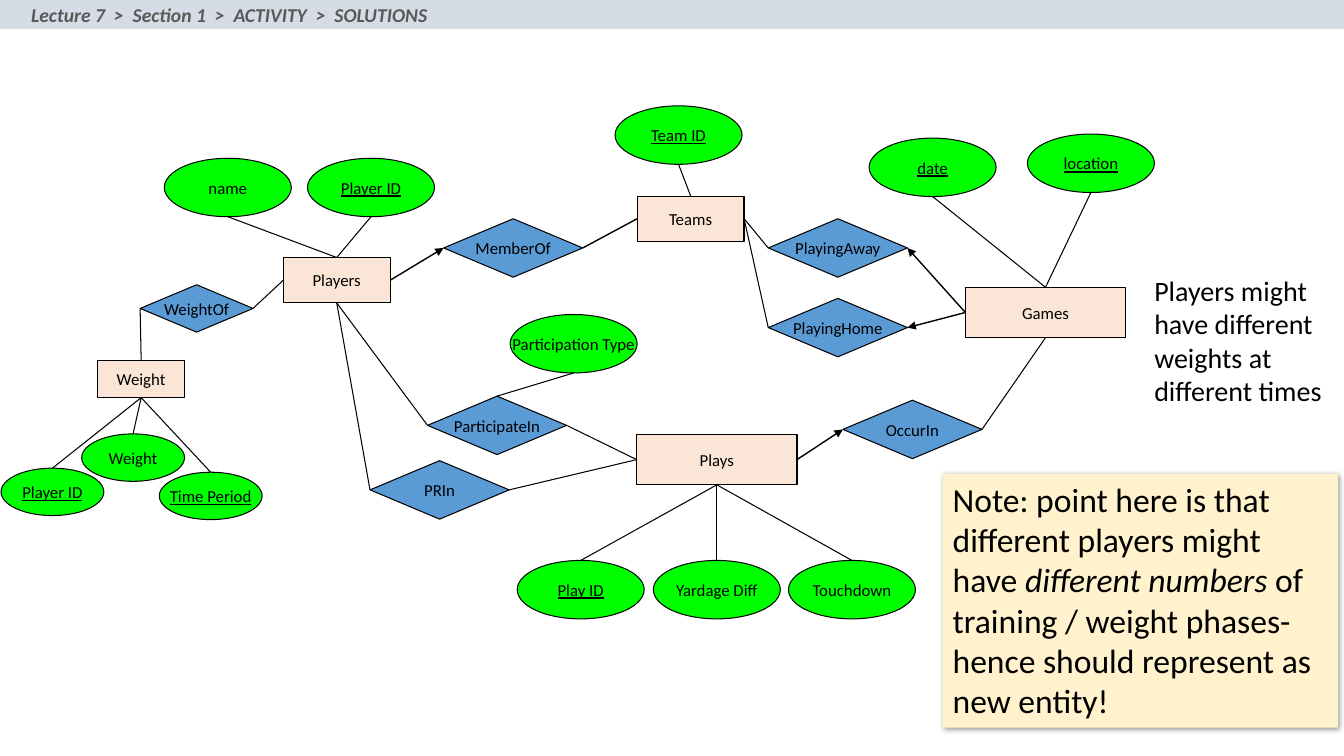
from lxml import etree
from pptx import Presentation, util as u
from pptx.dml import color
from pptx.enum import shapes, text
from pptx.oxml import ns

WIDE, HIGH = 13.33, 7.5
CELL = 0.1  # grid step of the diagram, in inches
FONT = "Calibri"

# Kind: preset shape and fill
KINDS = {
    "entity": (shapes.MSO_SHAPE.RECTANGLE, "FBE5D6"),
    "relation": (shapes.MSO_SHAPE.DIAMOND, "5B9BD5"),
    "attr": (shapes.MSO_SHAPE.OVAL, "00FF00"),
    "key": (shapes.MSO_SHAPE.OVAL, "00FF00"),
}

# Sizes in cells
OVAL, SMALL, RHOMB = (12.6, 5.8), (10.2, 4.7), (13.8, 5.8)
TEAM, GAME = (10.6, 4.5), (15.9, 5)

# Id: label, kind, size, centre column, centre row
NODES = {
    "players": ("Players", "entity", TEAM, 33.4, 17.8),
    "teams": ("Teams", "entity", TEAM, 68.5, 11.7),
    "games": ("Games", "entity", GAME, 103.7, 21),
    "plays": ("Plays", "entity", GAME, 71.1, 35.6),
    "weight": ("Weight", "entity", (8.6, 3.7), 14, 27.6),
    "member": ("MemberOf", "relation", RHOMB, 50.9, 14.6),
    "away": ("PlayingAway", "relation", RHOMB, 83.1, 14.6),
    "home": ("PlayingHome", "relation", RHOMB, 83.1, 22.5),
    "occur": ("OccurIn", "relation", RHOMB, 90.5, 32.6),
    "part": ("ParticipateIn", "relation", RHOMB, 49.3, 32.2),
    "prin": ("PRIn", "relation", RHOMB, 43.6, 38.6),
    "weigh": ("WeightOf", "relation", (11.2, 4.7), 19.5, 20.6),
    "name": ("name", "attr", OVAL, 22.6, 8.6),
    "player": ("Player ID", "key", OVAL, 36.8, 8.6),
    "team": ("Team ID", "key", OVAL, 67.3, 3.4),
    "date": ("date", "key", OVAL, 92.5, 6.6),
    "place": ("location", "key", OVAL, 108.2, 6.2),
    "type": ("Participation Type", "attr", OVAL, 56.9, 24.1),
    "play": ("Play ID", "key", OVAL, 57.6, 48.5),
    "yards": ("Yardage Diff", "attr", OVAL, 71.1, 48.5),
    "touch": ("Touchdown", "attr", OVAL, 84.5, 48.5),
    "mass": ("Weight", "attr", SMALL, 13.2, 35.4),
    "owner": ("Player ID", "key", SMALL, 5.2, 38.8),
    "time": ("Time Period", "key", SMALL, 20.9, 39.2),
}

# Side of a node as a share of its size from the centre
SIDES = {"top": (0, -0.5), "low": (0, 0.5), "left": (-0.5, 0), "right": (0.5, 0)}

# Start, side, end, side
LINKS = [
    ("name", "low", "players", "top"),
    ("player", "low", "players", "top"),
    ("team", "low", "teams", "top"),
    ("date", "low", "games", "top"),
    ("place", "low", "games", "top"),
    ("type", "low", "part", "top"),
    ("plays", "low", "play", "top"),
    ("plays", "low", "yards", "top"),
    ("plays", "low", "touch", "top"),
    ("weight", "low", "mass", "top"),
    ("weight", "low", "owner", "top"),
    ("weight", "low", "time", "top"),
    ("weigh", "left", "weight", "top"),
    ("weigh", "right", "players", "left"),
    ("players", "low", "part", "left"),
    ("players", "low", "prin", "left"),
    ("part", "right", "plays", "left"),
    ("prin", "right", "plays", "left"),
    ("teams", "right", "away", "left"),
    ("teams", "right", "home", "left"),
    ("occur", "right", "games", "low"),
    ("member", "right", "teams", "left"),
]
ARROWS = [
    ("players", "right", "member", "left"),
    ("plays", "right", "occur", "left"),
    ("games", "left", "away", "right"),
    ("games", "left", "home", "right"),
]


def paint(target, shade):
    target.rgb = color.RGBColor.from_string(shade)


def add_run(para, words, size, shade="000000", **style):
    run = para.add_run()
    run.text = words
    run.font.name, run.font.size = FONT, u.Pt(size)
    paint(run.font.color, shade)
    for key, value in style.items():
        setattr(run.font, key, value)


def add_box(slide, kind, box, fill):
    shape = slide.shapes.add_shape(kind, *map(u.Inches, box))
    shape.shadow.inherit = False
    shape.fill.solid()
    paint(shape.fill.fore_color, fill)
    shape.line.fill.background()
    return shape


def add_text(slide, box, wrap):
    frame = slide.shapes.add_textbox(*map(u.Inches, box)).text_frame
    frame.word_wrap = wrap
    return frame.paragraphs[0]


def header(slide, box):
    left, top, width, height = box
    add_box(slide, shapes.MSO_SHAPE.RECTANGLE, box, "D6DCE5")
    para = add_text(slide, (left + 0.21, top - 0.02, 4.16, height + 0.05), False)
    add_run(para, "Lecture 7  >  Section 1  >  ACTIVITY  >  SOLUTIONS", 14,
            "595959", bold=True, italic=True)


def add_node(slide, origin, label, kind, size, col, row):
    wide, high = (CELL * part for part in size)
    left = origin[0] + CELL * col - wide / 2
    top = origin[1] + CELL * row - high / 2
    form, fill = KINDS[kind]
    shape = add_box(slide, form, (left, top, wide, high), fill)
    paint(shape.line.color, "000000")
    shape.line.width = u.Pt(0.75)
    frame = shape.text_frame
    frame.word_wrap = False
    frame.vertical_anchor = text.MSO_ANCHOR.MIDDLE
    para = frame.paragraphs[0]
    para.alignment = text.PP_ALIGN.CENTER
    add_run(para, label, 12, underline=True if kind == "key" else None)


def find_side(origin, node, side):
    size, *centre = NODES[node][2:]
    return [u.Inches(start + CELL * (mid + share * length))
            for start, mid, share, length in zip(origin, centre, SIDES[side], size)]


def add_link(slide, origin, link, arrow):
    first, exit_side, last, entry = link
    line = slide.shapes.add_connector(
        shapes.MSO_CONNECTOR.STRAIGHT,
        *find_side(origin, first, exit_side), *find_side(origin, last, entry))
    paint(line.line.color, "000000")
    line.line.width = u.Pt(1 if arrow or first == "member" else 0.75)
    if arrow:
        etree.SubElement(line.line._get_or_add_ln(), ns.qn("a:tailEnd"), type="triangle")
    etree.SubElement(line._element.spPr, ns.qn("a:effectLst"))


def diagram(slide, origin):
    for node in NODES.values():
        add_node(slide, origin, *node)
    for links, arrow in ((LINKS, False), (ARROWS, True)):
        for link in links:
            add_link(slide, origin, link, arrow)


def remark(slide, box):
    para = add_text(slide, box, True)
    add_run(para, "Players might have different weights at different times", 20)


def note(slide, box):
    shape = add_box(slide, shapes.MSO_SHAPE.RECTANGLE, box, "FFF2CC")
    # Soft shadow
    effects = shape._element.spPr.find(ns.qn("a:effectLst"))
    cast = etree.SubElement(effects, ns.qn("a:outerShdw"), blurRad=str(u.Pt(4)),
                            dist=str(u.Pt(1)), dir=str(45 * 60000))
    tint = etree.SubElement(cast, ns.qn("a:srgbClr"), val="000000")
    etree.SubElement(tint, ns.qn("a:alpha"), val="40000")
    # Wording
    frame = shape.text_frame
    frame.word_wrap = True
    frame.vertical_anchor = text.MSO_ANCHOR.TOP
    para = frame.paragraphs[0]
    para.alignment = text.PP_ALIGN.LEFT
    add_run(para, "Note: point here is that different players might have ", 24)
    add_run(para, "different numbers ", 24, italic=True)
    add_run(para, "of training / weight phases- hence should represent as new entity!", 24)


def main():
    deck = Presentation()
    deck.slide_width, deck.slide_height = u.Inches(WIDE), u.Inches(HIGH)
    slide = deck.slides.add_slide(deck.slide_layouts[6])
    header(slide, (0, 0, WIDE, 0.29))
    diagram(slide, (0, 1))
    remark(slide, (11.35, 2.66, 1.97, 1.45))
    note(slide, (9.35, 4.7, 3.92, 2.52))
    deck.save("out.pptx")


if __name__ == "__main__":
    main()
